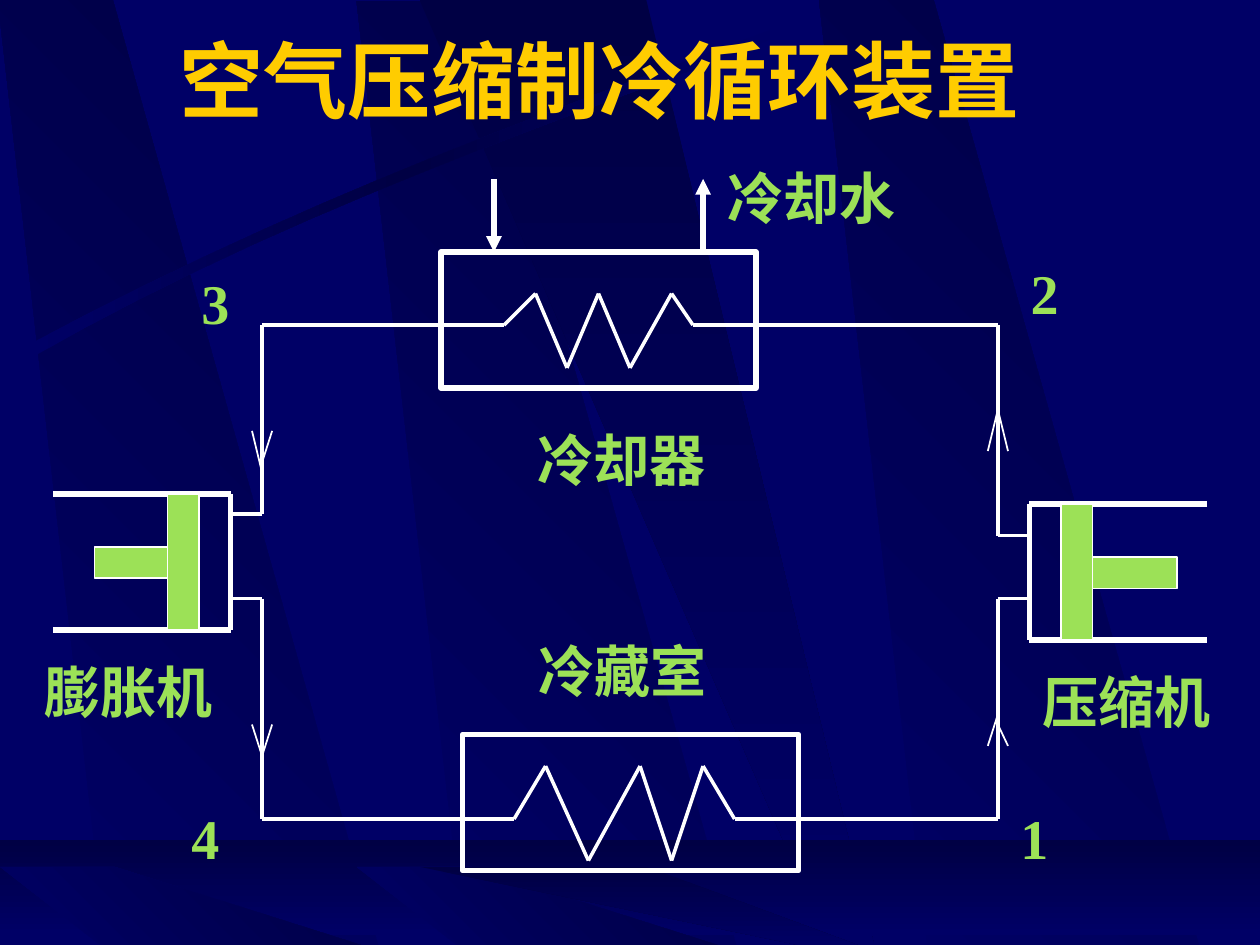
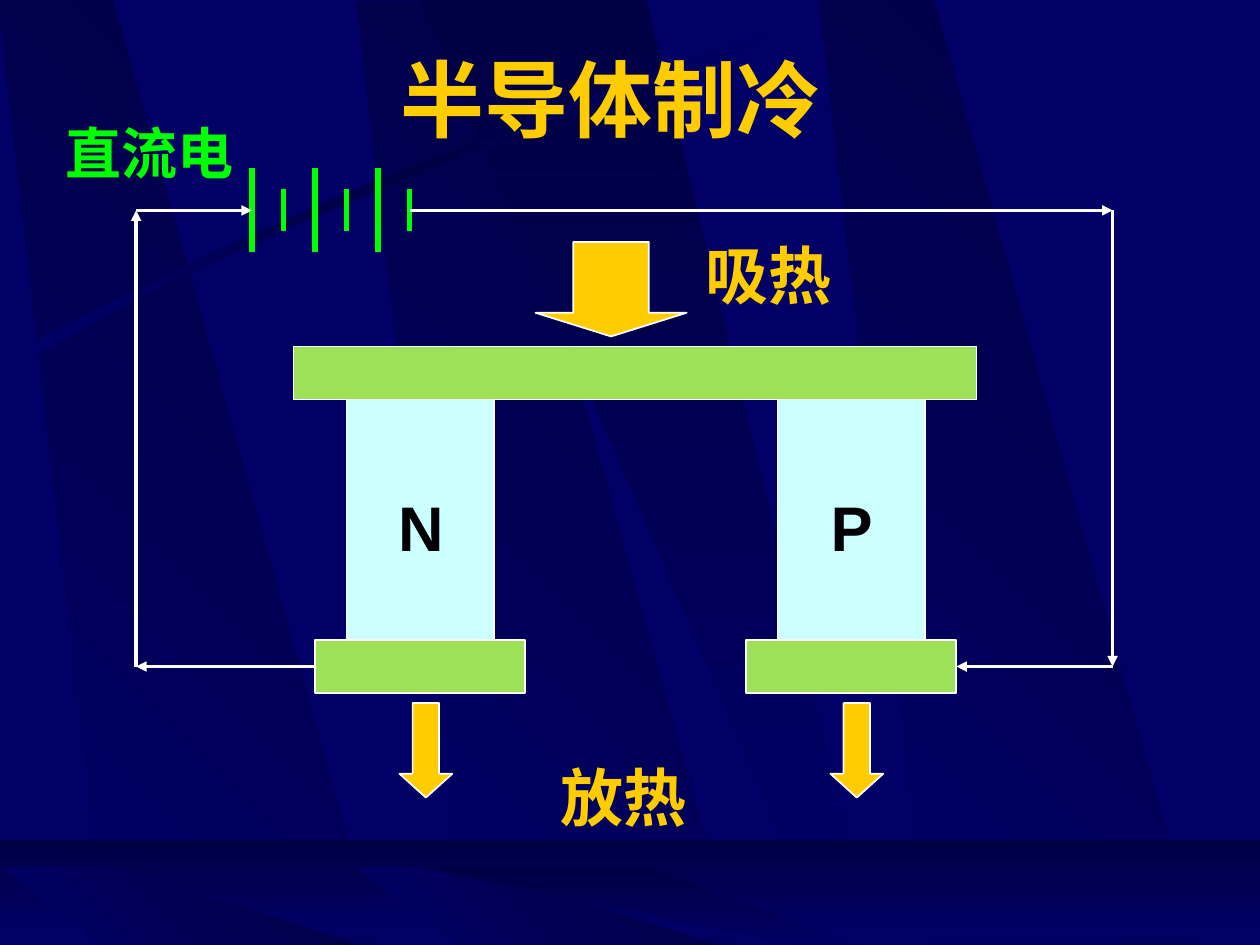
from itertools import pairwise

from lxml.etree import SubElement
from pptx import Presentation
from pptx.dml.color import RGBColor
from pptx.enum.shapes import MSO_CONNECTOR, MSO_SHAPE as SHAPE
from pptx.enum.text import MSO_ANCHOR as ANCHOR, MSO_AUTO_SIZE as AUTO, PP_ALIGN as ALIGN
from pptx.oxml.ns import qn
from pptx.util import Inches, Pt

COLORS = {
    "navy": "000066", "midnight": "000044", "gold": "FFCC00", "green": "9CE157",
    "neon": "00FF00", "ice": "CCFFFF", "white": "FFFFFF", "ink": "000004",
}
CJK_FONT = "Noto Sans CJK SC"
TOP, LEFT, BOTTOM, RIGHT = range(4)


def rgb(name):
    return RGBColor.from_string(COLORS[name])


# Basic parts
def add_text(page, text, left, top, width, height, size=32, font="Times New Roman",
             color="green", align=ALIGN.CENTER, wrap=False, anchor=ANCHOR.TOP):
    box = page.shapes.add_textbox(Inches(left), Inches(top), Inches(width), Inches(height))
    frame = box.text_frame
    frame.word_wrap = wrap
    frame.auto_size = AUTO.SHAPE_TO_FIT_TEXT
    frame.vertical_anchor = anchor
    para = frame.paragraphs[0]
    para.alignment = align
    span = para.add_run()
    span.text = text
    span.font.name = font
    span.font.size = Pt(size)
    span.font.bold = True
    span.font.color.rgb = rgb(color)
    SubElement(span.font._element, qn("a:ea"), typeface=CJK_FONT)
    return box


def add_title(page, text, left, top, width, font):
    add_text(page, text, left, top, width, 0.9, size=48, font=font, color="gold",
             align=ALIGN.LEFT, wrap=True, anchor=ANCHOR.MIDDLE)


def add_block(page, left, top, width, height, fill=None, line_width=1, kind=SHAPE.RECTANGLE):
    block = page.shapes.add_shape(
        kind, Inches(left), Inches(top), Inches(width), Inches(height))
    block.shadow.inherit = False
    if fill:
        block.fill.solid()
        block.fill.fore_color.rgb = rgb(fill)
    else:
        block.fill.background()
    block.line.color.rgb = rgb("white")
    block.line.width = Pt(line_width)
    return block


def add_line(page, start, end, width=2, color="white", arrow=False):
    line = page.shapes.add_connector(
        MSO_CONNECTOR.STRAIGHT, *(Inches(value) for value in (*start, *end)))
    line.line.color.rgb = rgb(color)
    line.line.width = Pt(width)
    if arrow:
        SubElement(line.line._get_or_add_ln(), qn("a:tailEnd"), type="triangle")
    SubElement(line._element.spPr, qn("a:effectLst"))
    return line


def add_route(page, points, **style):
    return [add_line(page, start, end, **style) for start, end in pairwise(points)]


# Shared backdrop
def shade(shape, stops, angle):
    """Fill with evenly spaced stops; the angle runs clockwise."""
    shape.shadow.inherit = False
    shape.line.fill.background()
    shape.fill.gradient()
    shape.fill.gradient_angle = (360 - angle) % 360
    stop_list = shape._element.spPr.find(qn("a:gradFill")).find(qn("a:gsLst"))
    for stop in list(stop_list):
        stop_list.remove(stop)
    for index, name in enumerate(stops):
        position = str(100000 * index // (len(stops) - 1))
        stop = SubElement(stop_list, qn("a:gs"), pos=position)
        SubElement(stop, qn("a:srgbClr"), val=COLORS[name])


def add_outline(page, points, stops, angle):
    corners = [(Inches(x), Inches(y)) for x, y in points]
    builder = page.shapes.build_freeform(*corners[0], scale=1.0)
    builder.add_line_segments(corners[1:], close=True)
    shade(builder.convert_to_shape(), stops, angle)


def curve(points, steps=16):
    """Sample a cubic Bezier curve."""
    for step in range(steps + 1):
        t = step / steps
        weights = ((1 - t) ** 3, 3 * t * (1 - t) ** 2, 3 * t * t * (1 - t), t ** 3)
        yield tuple(sum(w * p[axis] for w, p in zip(weights, points)) for axis in (0, 1))


def add_slanted_band(page, left, top, height):
    points = [(left + 0.86, top + height), (left + 3.02, top + height),
              (left + 0.91, top), (left, top)]
    add_outline(page, points, ("navy", "midnight"), 315)


def add_fan(page, top, height):
    points = [(3.33, top), (6.58, top + height), (6.94, top + height), (5.13, top)]
    add_outline(page, points, ("midnight", "navy"), 90)


def add_backdrop(page):
    page.background.fill.solid()
    page.background.fill.fore_color.rgb = rgb("navy")
    for left, top in ((2.83, 0.01), (-0.02, -0.02), (6.5, 0)):
        add_slanted_band(page, left, top, 7.52)
    add_fan(page, 0, 7.51)
    # Curved streak
    upper = curve([(0.2, 2.75), (2.84, 1.34), (5.24, 0.59), (6.26, 0.18)])
    lower = curve([(6.29, 0.24), (5.28, 0.69), (2.54, 1.51), (0.23, 2.85)])
    add_outline(page, [*upper, *lower], ("navy", "midnight", "navy"), 0)
    # Floor
    shade(add_block(page, 0, 6.67, 10, 0.75), ("midnight", "navy"), 90)
    for left in (2.83, 0):
        add_slanted_band(page, left, 6.88, 0.67)
    add_fan(page, 6.88, 0.67)


# Air-compression cycle
def add_exchanger(page, left, top, width, coil):
    """A vessel with a zigzag coil, given by offsets from its corner."""
    add_block(page, left, top, width, 1.08, line_width=3)
    add_route(page, [(left + x, top + y) for x, y in coil])


def add_cylinder(page, left, top, head_on_left, rod):
    width, height, thickness = 1.41, 1.08, 0.25
    right, bottom = left + width, top + height
    head, mouth = (left, right) if head_on_left else (right, left)
    add_route(page, [(mouth, top), (head, top), (head, bottom), (mouth, bottom)], width=3)
    # Piston and rod
    piston = left + 0.25 if head_on_left else right - 0.5
    rod_left = piston + thickness if head_on_left else piston - rod
    add_block(page, piston, top, thickness, height, "green")
    add_block(page, rod_left, top + 0.42, rod, thickness, "green")


def add_flow_mark(page, x, base, left_tip, right_tip):
    for offset, tip in ((-0.08, left_tip), (0.08, right_tip)):
        add_line(page, (x + offset, base), (x, tip), width=1)


def build_air_cycle(deck):
    page = deck.slides.add_slide(deck.slide_layouts[6])
    add_backdrop(page)
    add_title(page, "空气压缩制冷循环装置", 1.33, 0.18, 7.17, CJK_FONT)
    pipe_left, pipe_right, upper, lower = 2.08, 7.92, 2.58, 6.5

    # Pipes between the machines and the exchangers
    add_route(page, [(1.83, 4.08), (pipe_left, 4.08), (pipe_left, upper), (4, upper)])
    add_route(page, [(1.83, 4.75), (pipe_left, 4.75), (pipe_left, lower), (4.08, lower)])
    add_route(page, [(5.5, upper), (pipe_right, upper), (pipe_right, 4.25), (8.17, 4.25)])
    add_route(page, [(5.83, lower), (pipe_right, lower), (pipe_right, 4.75), (8.17, 4.75)])

    # Cooler and cold room
    add_exchanger(page, 3.5, 2, 2.5, [(0.5, 0.58), (0.75, 0.33), (1, 0.92), (1.25, 0.33),
                                      (1.5, 0.92), (1.83, 0.33), (2, 0.58)])
    add_exchanger(page, 3.67, 5.83, 2.67, [(0.41, 0.67), (0.66, 0.25), (1, 1), (1.41, 0.25),
                                           (1.66, 1), (1.91, 0.25), (2.16, 0.67)])

    # Expander and compressor
    add_cylinder(page, 0.42, 3.92, head_on_left=False, rod=0.58)
    add_cylinder(page, 8.17, 4, head_on_left=True, rod=0.67)

    # Flow direction
    for mark in ((pipe_left, 3.42, 3.75, 3.67), (pipe_left, 5.75, 6, 6),
                 (pipe_right, 5.92, 5.67, 5.75), (pipe_right, 3.58, 3.25, 3.25)):
        add_flow_mark(page, *mark)

    # Cooling water
    add_line(page, (5.58, 2), (5.58, 1.42), width=3, arrow=True)
    add_line(page, (3.92, 1.42), (3.92, 2), width=3, arrow=True)

    # Labels
    for text, left, top in (("冷却水", 5.67, 1.25), ("膨胀机", 0.25, 5.17),
                            ("压缩机", 8.17, 5.25), ("冷藏室", 4.17, 5)):
        add_text(page, text, left, top, 1.54, 0.63)
    add_text(page, "冷却器", 4.17, 3.33, 1.75, 0.63, align=ALIGN.LEFT, wrap=True)
    for text, left, top in (("3", 1.5, 2.08), ("2", 8.08, 2), ("1", 8, 6.33), ("4", 1.42, 6.33)):
        add_text(page, text, left, top, 0.42, 0.63)


# Semiconductor cooling
def add_leg(page, left, top, name):
    """A semiconductor column with its foot and heat arrow; returns the foot."""
    add_block(page, left + 0.25, top, 1.17, 1.92, "ice")
    foot = add_block(page, left, top + 1.91, 1.67, 0.42, "green")
    add_text(page, name, left + 0.56, top + 0.66, 0.56, 0.7,
             size=36, font="Arial", color="ink")
    add_heat_arrow(page, left + 0.67, top + 2.41, 0.42, 0.45)
    return foot


def add_heat_arrow(page, left, top, width, head):
    arrow = add_block(page, left, top, width, 0.75, "gold", kind=SHAPE.DOWN_ARROW)
    # The head length is measured against the shorter side
    arrow.adjustments[0] = 0.5
    arrow.adjustments[1] = head


def add_battery(page, left, middle):
    for index in range(6):
        up, down = (0.17, 0.16) if index % 2 else (0.34, 0.33)
        x = left + 0.25 * index
        add_line(page, (x, middle - up), (x, middle + down), width=3, color="neon")


def build_semiconductor(deck):
    page = deck.slides.add_slide(deck.slide_layouts[6])
    add_backdrop(page)
    add_title(page, "半导体制冷", 3.08, 0.33, 4.58, "Montserrat")

    # Cold plate on two legs
    add_block(page, 2.33, 2.75, 5.42, 0.42, "green")
    left_foot = add_leg(page, 2.5, 3.17, "N")
    right_foot = add_leg(page, 5.92, 3.17, "P")

    # Heat taken in and given off
    add_heat_arrow(page, 4.25, 1.92, 1.2, 0.25)
    for text, left, top in (("放热", 4.35, 5.97), ("吸热", 5.5, 1.83)):
        add_text(page, text, left, top, 1.2, 0.7, size=36, font="Arial", color="gold")

    # Battery and circuit
    wire_left, wire_right, upper, lower = 1.08, 8.83, 1.67, 5.29
    add_battery(page, 2, upper)
    left_wires = add_route(page, [(2.5, lower), (wire_left, lower), (wire_left, upper),
                                  (2, upper)], arrow=True)
    left_wires[0].begin_connect(left_foot, LEFT)
    right_wires = add_route(page, [(3.25, upper), (wire_right, upper), (wire_right, lower),
                                   (7.59, lower)], arrow=True)
    right_wires[-1].end_connect(right_foot, RIGHT)
    add_text(page, "直流电", 0.42, 0.89, 1.54, 0.63, font="Arial", color="neon")


def main():
    deck = Presentation()
    deck.slide_width, deck.slide_height = Inches(10), Inches(7.5)
    build_air_cycle(deck)
    build_semiconductor(deck)
    deck.save("out.pptx")


if __name__ == "__main__":
    main()
